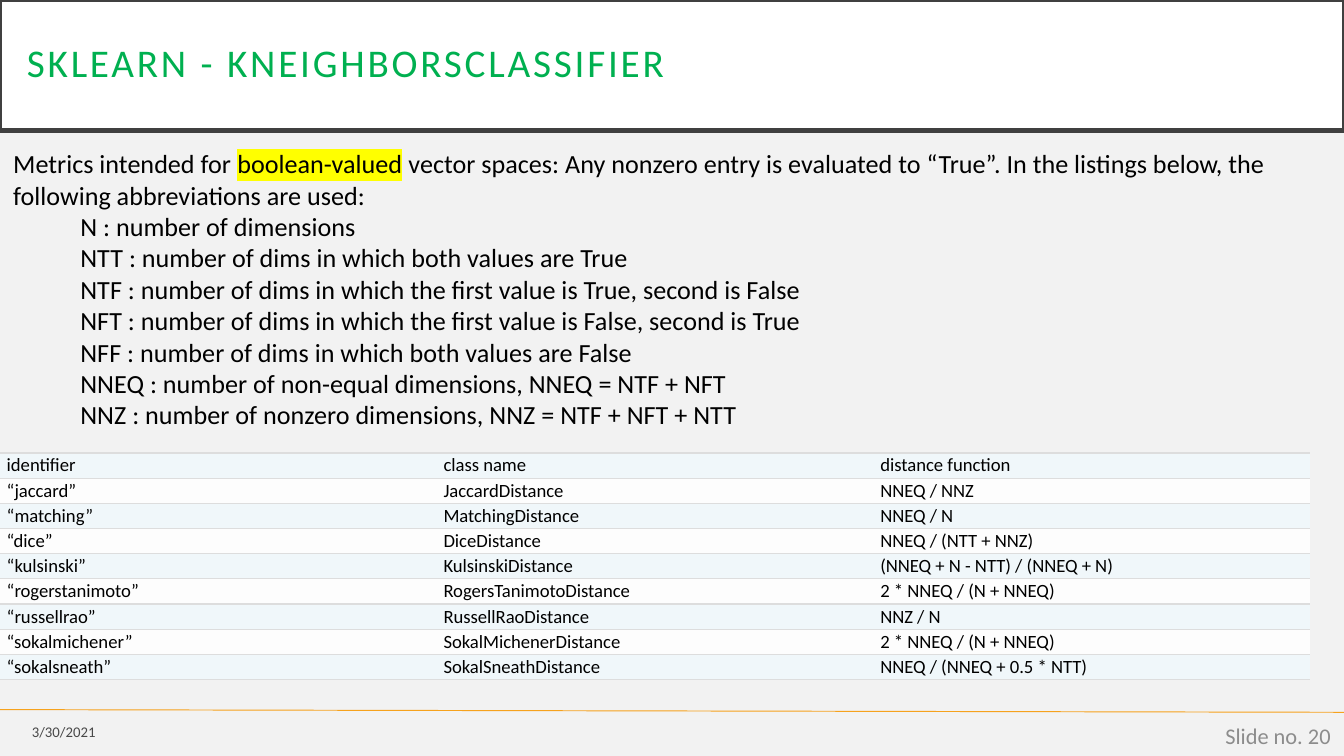
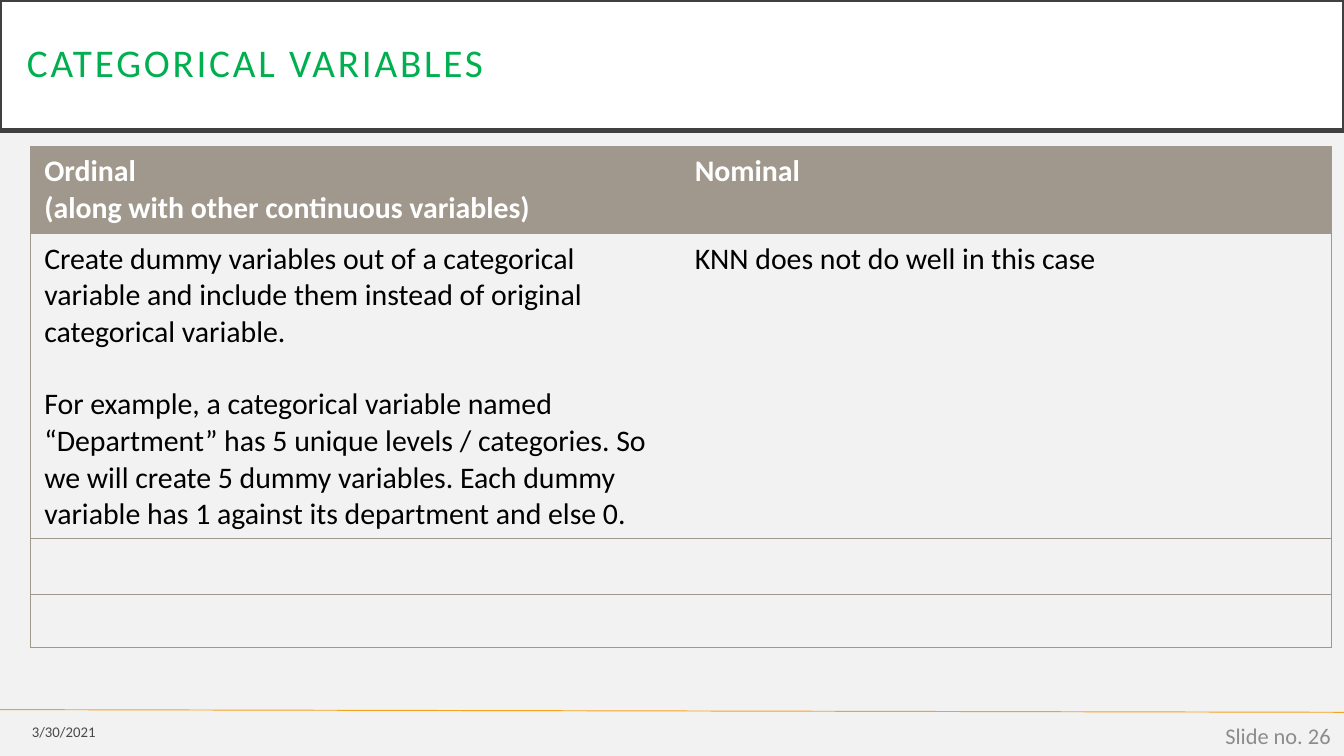
import pptx
import pptx.util
import pptx.dml.color
import pptx.enum.text
import pptx.enum.shapes
import pptx.oxml.ns
from lxml import etree

Inches, Pt = pptx.util.Inches, pptx.util.Pt
PP_ALIGN, MSO_ANCHOR = pptx.enum.text.PP_ALIGN, pptx.enum.text.MSO_ANCHOR
qn = pptx.oxml.ns.qn

FONT = "Calibri"
BACKGROUND, WHITE, BLACK = "F2F2F2", "FFFFFF", "000000"
DARK, GREEN, ORANGE, GREY = "404040", "00B050", "F6A21D", "8C8C8C"
TAUPE, RULE, HIGHLIGHT = "A0988C", "DDDDDD", "FFFF00"
STRIPES = ["F0F7FA", "FDFDFD"]
NO_STYLE = "{2D5ABB26-0587-4C30-8999-92F81FD0307C}"
DATE = "3/30/2021"

INTRO = [
    ("Metrics intended for ", False),
    ("boolean-valued", True),
    (" vector spaces: Any nonzero entry is evaluated to “True”. In the listings below, "
     "the following abbreviations are used:", False),
]
ABBREVIATIONS = [
    "N : number of dimensions",
    "NTT : number of dims in which both values are True",
    "NTF : number of dims in which the first value is True, second is False",
    "NFT : number of dims in which the first value is False, second is True",
    "NFF : number of dims in which both values are False",
    "NNEQ : number of non-equal dimensions, NNEQ = NTF + NFT",
    "NNZ : number of nonzero dimensions, NNZ = NTF + NFT + NTT",
]
METRICS = [
    ("identifier", "class name", "distance function"),
    ("“jaccard”", "JaccardDistance", "NNEQ / NNZ"),
    ("“matching”", "MatchingDistance", "NNEQ / N"),
    ("“dice”", "DiceDistance", "NNEQ / (NTT + NNZ)"),
    ("“kulsinski”", "KulsinskiDistance", "(NNEQ + N - NTT) / (NNEQ + N)"),
    ("“rogerstanimoto”", "RogersTanimotoDistance", "2 * NNEQ / (N + NNEQ)"),
    ("“russellrao”", "RussellRaoDistance", "NNZ / N"),
    ("“sokalmichener”", "SokalMichenerDistance", "2 * NNEQ / (N + NNEQ)"),
    ("“sokalsneath”", "SokalSneathDistance", "NNEQ / (NNEQ + 0.5 * NTT)"),
]
VARIABLES = [
    (["Ordinal", "(along with other continuous variables)"], ["Nominal"]),
    (["Create dummy variables out of a categorical variable and include them instead of "
      "original categorical variable.",
      "For example, a categorical variable named “Department” has 5 unique levels / "
      "categories. So we will create 5 dummy variables. Each dummy variable has 1 against "
      "its department and else 0."],
     ["KNN does not do well in this case"]),
    ([], []),
    ([], []),
]
VARIABLE_ROWS = [0.65, 2.27, 0.41, 0.4]


def rgb(color):
    return pptx.dml.color.RGBColor.from_string(color)


def style(target, **values):
    for name, value in values.items():
        setattr(target, name, value)


def add_run(p, text, size, color, bold=False):
    r = p.add_run()
    r.text = text
    style(r.font, name=FONT, size=Pt(size), bold=bold)
    r.font.color.rgb = rgb(color)
    return r


def color_child(parent, tag, color):
    holder = etree.SubElement(parent, qn(tag))
    etree.SubElement(holder, qn("a:srgbClr"), val=color)
    return holder


def add_text(s, left, top, width, height, anchor=MSO_ANCHOR.TOP):
    tf = s.shapes.add_textbox(*map(Inches, (left, top, width, height))).text_frame
    style(tf, word_wrap=True, vertical_anchor=anchor)
    return tf


def add_footer(s, box, text, size, color):
    p = add_text(s, *box, anchor=MSO_ANCHOR.MIDDLE).paragraphs[0]
    p.alignment = PP_ALIGN.RIGHT
    return add_run(p, text, size, color)


def new_slide(prs, heading, number):
    s = prs.slides.add_slide(prs.slide_layouts[5])
    title = s.shapes.title
    style(title, left=0, top=0, width=Inches(10), height=Inches(0.97))
    title.fill.solid()
    title.fill.fore_color.rgb = rgb(WHITE)
    title.line.color.rgb = rgb(DARK)
    title.line.width = Pt(2.5)
    tf = title.text_frame
    style(tf, vertical_anchor=MSO_ANCHOR.MIDDLE, word_wrap=True,
          auto_size=pptx.enum.text.MSO_AUTO_SIZE.NONE,
          **{f"margin_{side}": Inches(0.2) for side in ("left", "top", "right", "bottom")})
    p = tf.paragraphs[0]
    style(p, alignment=PP_ALIGN.LEFT, line_spacing=0.9)
    r = add_run(p, heading, 21, GREEN)
    r.font._element.set("spc", "150")

    line = s.shapes.add_connector(pptx.enum.shapes.MSO_CONNECTOR.STRAIGHT,
                                  0, Inches(5.28), Inches(10), Inches(5.3))
    line.line.color.rgb = rgb(ORANGE)
    line.line.width = Pt(0.5)
    etree.SubElement(line._element.spPr, qn("a:effectLst"))

    date = add_footer(s, (0, 5.31, 0.81, 0.27), DATE, 7.9, BLACK)
    date_color = date.font._element.find(".//" + qn("a:srgbClr"))
    etree.SubElement(date_color, qn("a:alpha"), val="70000")
    add_footer(s, (7.75, 5.32, 2.25, 0.3), f"Slide no. {number}", 12, GREY)
    return s


def add_table(s, left, top, col_width, cols, row_heights):
    frame = s.shapes.add_table(len(row_heights), cols, Inches(left), Inches(top),
                               Inches(col_width * cols), Inches(sum(row_heights)))
    table = frame.table
    style(table, first_row=False, horz_banding=False)
    table._tbl.tblPr.find(qn("a:tableStyleId")).text = NO_STYLE
    for row, height in zip(table.rows, row_heights):
        row.height = Inches(height)
    for col in table.columns:
        col.width = Inches(col_width)
    return table


def format_cell(cell, sides, color, width, fill=None):
    tcPr = cell._tc.get_or_add_tcPr()
    for side in sides:
        ln = etree.SubElement(tcPr, qn(f"a:ln{side}"), w=str(Pt(width)))
        color_child(ln, "a:solidFill", color)
    if fill:
        cell.fill.solid()
        cell.fill.fore_color.rgb = rgb(fill)
    else:
        cell.fill.background()


def metrics_slide(prs):
    s = new_slide(prs, "SKLEARN - KNEIGHBORSCLASSIFIER", 20)
    tf = add_text(s, 0, 1.05, 9.9, 2.22)
    for text, marked in INTRO:
        r = add_run(tf.paragraphs[0], text, 14, BLACK)
        if marked:
            rPr = r.font._element
            rPr.find(qn("a:solidFill")).addnext(color_child(rPr, "a:highlight", HIGHLIGHT))
    for text in ABBREVIATIONS:
        p = tf.add_paragraph()
        p.level = 1
        pPr = p._p.get_or_add_pPr()
        pPr.set("marL", str(Inches(0.5)))
        pPr.set("indent", "0")
        add_run(p, text, 14, BLACK)

    table = add_table(s, 0, 3.37, 3.25, 3, [1.69 / len(METRICS)] * len(METRICS))
    for i, row in enumerate(METRICS):
        for j, text in enumerate(row):
            cell = table.cell(i, j)
            style(cell, margin_left=Inches(0.05), margin_right=Inches(0.08),
                  margin_top=Inches(0.01), margin_bottom=Inches(0.01),
                  vertical_anchor=MSO_ANCHOR.MIDDLE)
            add_run(cell.text_frame.paragraphs[0], text, 10, BLACK)
            format_cell(cell, "TB", RULE, 0.75, STRIPES[i % 2])


def variables_slide(prs):
    s = new_slide(prs, "CATEGORICAL VARIABLES", 26)
    table = add_table(s, 0.23, 1.09, 4.84, 2, VARIABLE_ROWS)
    for i, row in enumerate(VARIABLES):
        header = i == 0
        for j, texts in enumerate(row):
            cell = table.cell(i, j)
            tf = cell.text_frame
            for k, text in enumerate(texts):
                p = tf.add_paragraph() if k else tf.paragraphs[0]
                if k and not header:
                    p.space_before = Pt(19.5)
                add_run(p, text, 16, WHITE if header else BLACK, bold=header)
            format_cell(cell, "LR"[j] + "TB", TAUPE, 0.5, TAUPE if header else None)


def main():
    prs = pptx.Presentation()
    prs.slide_width = Inches(10)
    prs.slide_height = prs.slide_width * 9 // 16
    fill = prs.slide_master.background.fill
    fill.solid()
    fill.fore_color.rgb = rgb(BACKGROUND)
    metrics_slide(prs)
    variables_slide(prs)
    prs.save("out.pptx")


if __name__ == "__main__":
    main()
